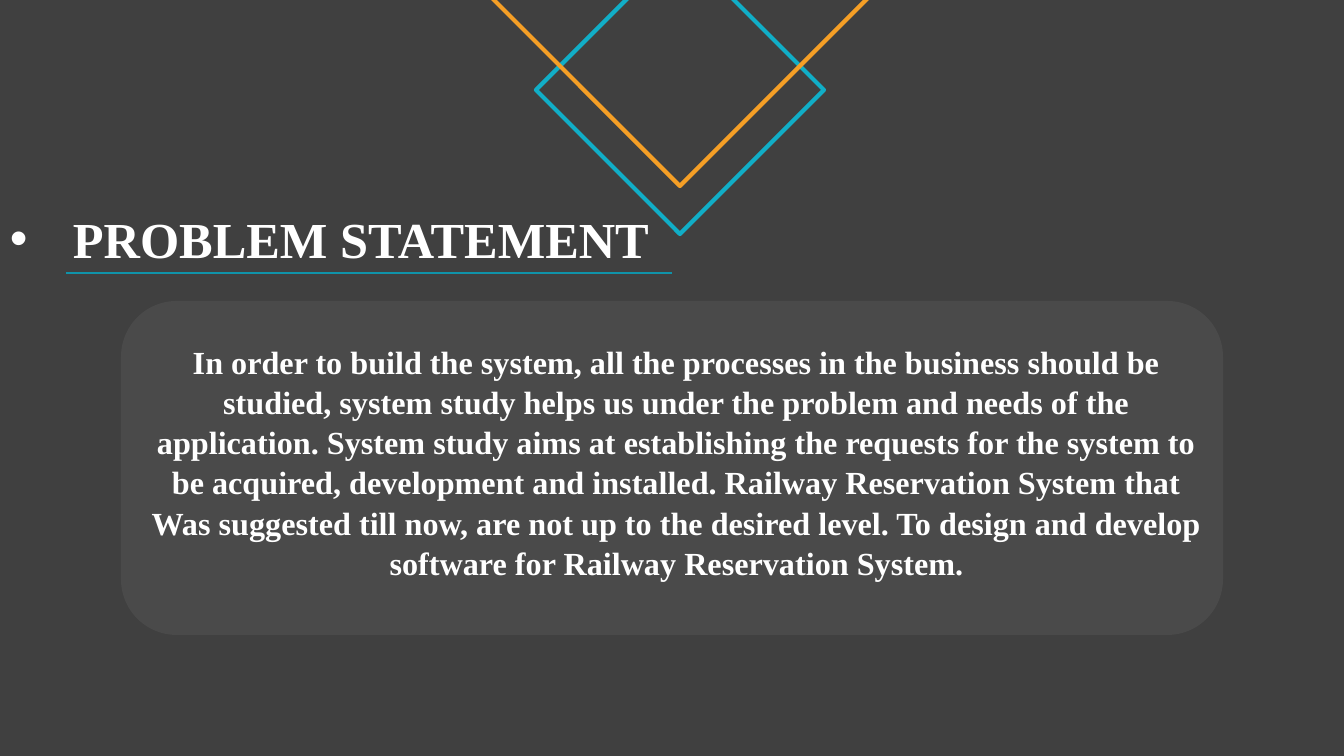
from lxml import etree
from pptx import Presentation
from pptx.dml.color import RGBColor
from pptx.enum import shapes, text
from pptx.oxml.ns import qn
from pptx.util import Emu, Pt

SCALE = 914400 / 100.8
FONT = "Times New Roman"
WHITE = "FFFFFF"
TEAL = "11AEC7"
ORANGE = "F59F26"


def px(n):
    return Emu(round(n * SCALE))


def color(code):
    return RGBColor.from_string(code)


def add_shape(slide, kind, *box):
    shape = slide.shapes.add_shape(kind, *map(px, box))
    shape.shadow.inherit = False
    return shape


def add_diamond(slide, mid, tip, side, code):
    shape = add_shape(slide, shapes.MSO_SHAPE.DIAMOND,
                      mid - side / 2, tip - side, side, side)
    shape.fill.background()
    shape.line.color.rgb = color(code)
    shape.line.width = Pt(3)


def add_panel(slide, box, code, alpha):
    shape = add_shape(slide, shapes.MSO_SHAPE.ROUNDED_RECTANGLE, *box)
    shape.line.fill.background()
    shape.fill.solid()
    shape.fill.fore_color.rgb = color(code)
    tint = shape._element.spPr.find(qn("a:solidFill"))[0]
    etree.SubElement(tint, qn("a:alpha"), val=str(alpha * 1000))


def add_text(slide, box, words, size):
    frame = slide.shapes.add_textbox(*map(px, box)).text_frame
    frame.word_wrap = True
    para = frame.paragraphs[0]
    run = para.add_run()
    run.text = words
    run.font.name = FONT
    run.font.size = Pt(size)
    run.font.bold = True
    run.font.color.rgb = color(WHITE)
    return para


def add_bullet(para, indent):
    props = para._p.get_or_add_pPr()
    props.set("marL", str(px(indent)))
    props.set("indent", str(-px(indent)))
    etree.SubElement(props, qn("a:buFont"), typeface="Arial")
    etree.SubElement(props, qn("a:buChar"), char="•")


def add_rule(slide, left, right, top, code):
    line = slide.shapes.add_connector(
        shapes.MSO_CONNECTOR.STRAIGHT, *map(px, (left, top, right, top)))
    line.line.color.rgb = color(code)
    line.line.width = Pt(2)
    etree.SubElement(line._element.spPr, qn("a:effectLst"))


def main():
    deck = Presentation()
    deck.slide_width = px(1344)
    deck.slide_height = px(756)
    slide = deck.slides.add_slide(deck.slide_layouts[6])
    slide.background.fill.solid()
    slide.background.fill.fore_color.rgb = color("404040")

    add_diamond(slide, 680, 234, 288, TEAL)
    add_diamond(slide, 680, 186, 390, ORANGE)

    title = add_text(slide, (0, 203, 679, 72), "PROBLEM STATEMENT", 36)
    add_bullet(title, 63)

    add_panel(slide, (121, 301, 1102, 334), "585858", 44)
    body = add_text(
        slide, (132, 336, 1090, 244),
        "In order to build the system, all the processes in the business "
        "should be studied, system study helps us under the problem and "
        "needs of the application. System study aims at establishing the "
        "requests for the system to be acquired, development and installed. "
        "Railway Reservation System that Was suggested till now, are not up "
        "to the desired level. To design and develop software for Railway "
        "Reservation System.", 23)
    body.alignment = text.PP_ALIGN.CENTER
    body.line_spacing = 1.04

    add_rule(slide, 66, 672, 273, "0F93A9")
    deck.save("out.pptx")


main()
